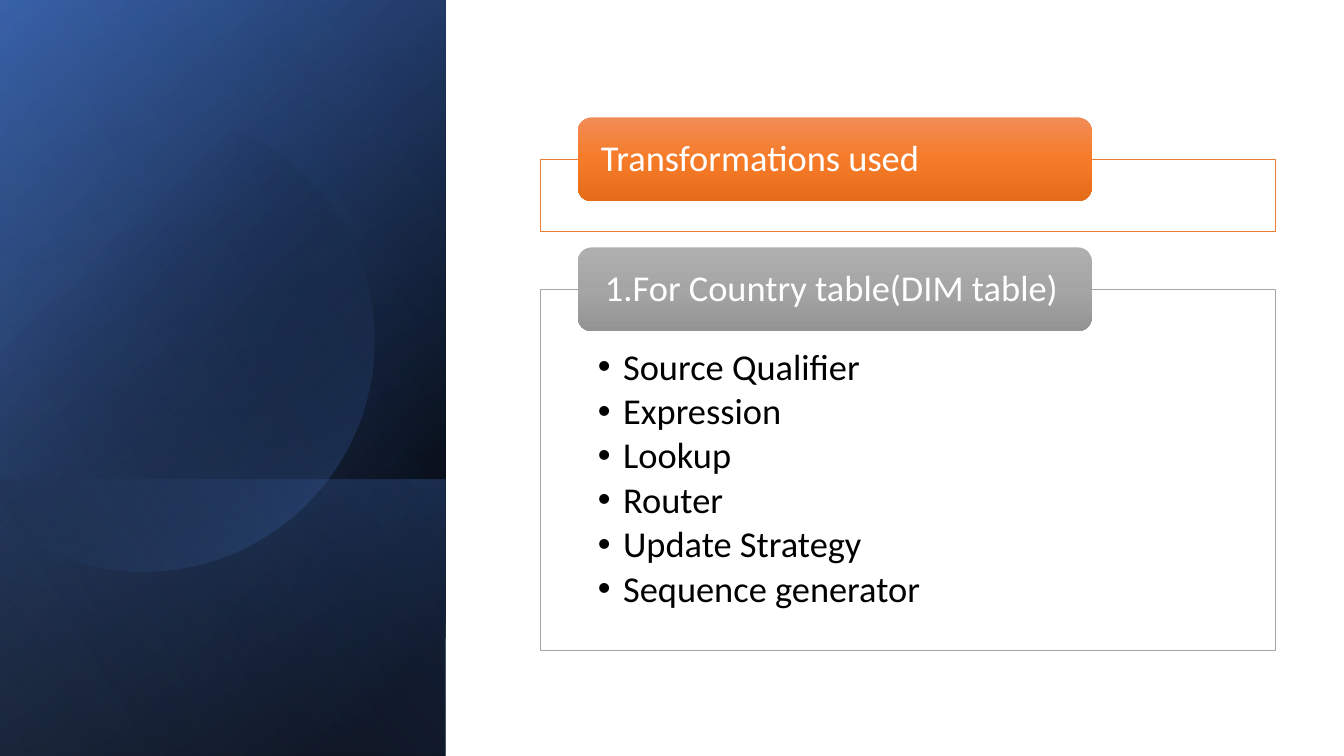
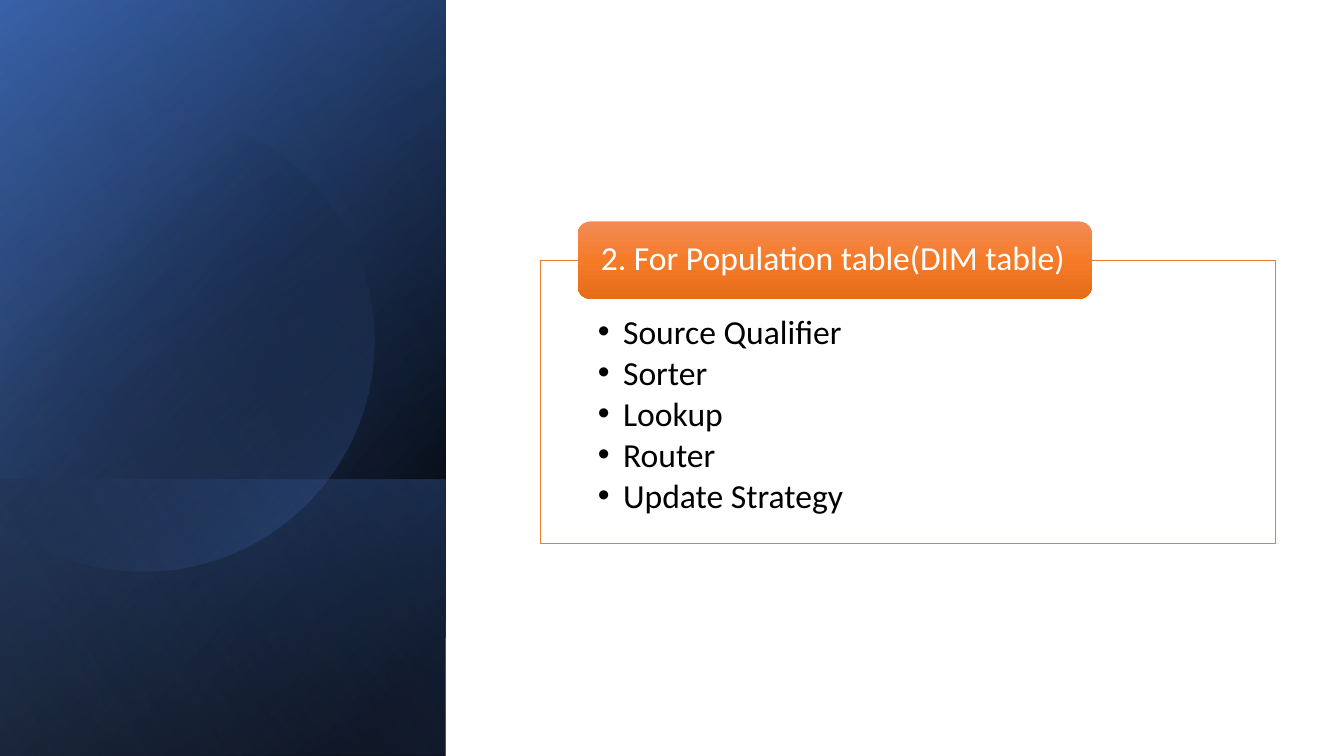
from math import cos, radians, sin

from lxml.etree import SubElement
from pptx import Presentation
from pptx.dml.color import RGBColor
from pptx.enum.shapes import MSO_SHAPE
from pptx.enum.text import MSO_ANCHOR, PP_ALIGN
from pptx.oxml import parse_xml
from pptx.oxml.ns import nsdecls, qn
from pptx.util import Inches, Pt

BLACK = RGBColor(0x00, 0x00, 0x00)
WHITE = RGBColor(0xFF, 0xFF, 0xFF)
NAVY = RGBColor(0x2F, 0x55, 0x97)
BLUE = RGBColor(0x44, 0x72, 0xC4)
PALE_BLUE = RGBColor(0x8F, 0xAA, 0xDC)
ORANGE = RGBColor(0xED, 0x7D, 0x31)
GRAY = RGBColor(0xA5, 0xA5, 0xA5)
FONT = "Calibri"

# Tab gradients by accent: top, middle, bottom
TAB_STOPS = {
    ORANGE: [(0, RGBColor(0xF1, 0x8C, 0x57), 100), (50, RGBColor(0xF6, 0x7B, 0x28), 100),
             (100, RGBColor(0xE5, 0x6C, 0x19), 100)],
    GRAY: [(0, RGBColor(0xAF, 0xAF, 0xAF), 100), (50, GRAY, 100),
           (100, RGBColor(0x93, 0x93, 0x93), 100)],
}

# Side panel layers: left, top, width, height, gradient stops (position, colour, opacity), angle
FULL_LAYER = (-1.54, 1.54, 7.5, 4.42)
LOWER_LAYER = (0.84, 3.92, 2.74, 4.42)
PANEL_BELOW = [
    (FULL_LAYER, [(8, BLACK, 100), (100, NAVY, 100)], 50),
    (FULL_LAYER, [(0, BLACK, 0), (99, BLUE, 46)], 30),
    (LOWER_LAYER, [(2, BLUE, 29), (100, BLACK, 30)], 130),
]
PANEL_ABOVE = (FULL_LAYER, [(0, BLACK, 0), (99, PALE_BLUE, 11)], 120)
CIRCLE_X, CIRCLE_Y, CIRCLE_R = 1.42, 3.38, 2.29
CIRCLE_STOPS = [(29, BLACK, 0), (100, BLUE, 43)]

FRAME_LEFT, FRAME_WIDTH = 5.36, 7.29
TAB_LEFT, TAB_WIDTH = 5.73, 5.1

# Each slide: text size, then groups of frame top, frame height, accent, heading, items
SLIDES = [
    (26, [
        (1.58, 0.72, ORANGE, "Transformations used", []),
        (2.87, 3.58, GRAY, "1.For Country table(DIM table)",
         ["Source Qualifier", "Expression", "Lookup", "Router",
          "Update Strategy", "Sequence generator"]),
    ]),
    (24, [
        (2.58, 2.81, ORANGE, "2. For Population table(DIM table)",
         ["Source Qualifier", "Sorter", "Lookup", "Router", "Update Strategy"]),
    ]),
]


def fill_gradient(shape, stops, angle):
    shape.shadow.inherit = False
    shape.line.fill.background()
    shape.fill.background()
    stop_xml = "".join(
        f'<a:gs pos="{pos * 1000}"><a:srgbClr val="{color}">'
        f'<a:alpha val="{alpha * 1000}"/></a:srgbClr></a:gs>'
        for pos, color, alpha in stops)
    grad = parse_xml(
        f'<a:gradFill {nsdecls("a")} rotWithShape="1"><a:gsLst>{stop_xml}</a:gsLst>'
        f'<a:lin ang="{angle * 60000}" scaled="0"/></a:gradFill>')
    sp_pr = shape.element.spPr
    sp_pr.replace(sp_pr.find(qn("a:noFill")), grad)


def write_text(shape, lines, size, color, margins, anchor=MSO_ANCHOR.MIDDLE, bullet=None):
    tf = shape.text_frame
    tf.word_wrap = True
    tf.vertical_anchor = anchor
    tf.margin_left, tf.margin_top, tf.margin_right, tf.margin_bottom = map(Inches, margins)
    for i, line in enumerate(lines):
        p = tf.paragraphs[0] if i == 0 else tf.add_paragraph()
        p.alignment = PP_ALIGN.LEFT
        p.line_spacing = 0.9
        p.space_before = Pt(0)
        if bullet:
            p.space_after = Pt(0.14 * size)
            p_pr = p._p.get_or_add_pPr()
            p_pr.set("marL", str(Inches(0.25)))
            p_pr.set("indent", str(Inches(-0.25)))
            SubElement(p_pr, qn("a:buFont")).set("typeface", "Arial")
            SubElement(p_pr, qn("a:buChar")).set("char", bullet)
        r = p.add_run()
        r.text = line
        r.font.name, r.font.size, r.font.color.rgb = FONT, Pt(size), color


prs = Presentation()
prs.slide_width, prs.slide_height = Inches(13.33), Inches(7.5)

for size, groups in SLIDES:
    s = prs.slides.add_slide(prs.slide_layouts[5])
    title = s.shapes.title

    # Side panel, with the circle cut off at the slide's left edge
    for box, stops, angle in PANEL_BELOW + [PANEL_ABOVE]:
        if box is PANEL_ABOVE[0] and stops is PANEL_ABOVE[1]:
            arc = [(Inches(CIRCLE_X + CIRCLE_R * cos(radians(a))),
                    Inches(CIRCLE_Y + CIRCLE_R * sin(radians(a)))) for a in range(-128, 129, 2)]
            builder = s.shapes.build_freeform(*arc[0])
            builder.add_line_segments(arc[1:], close=True)
            fill_gradient(builder.convert_to_shape(), CIRCLE_STOPS, 46)
        layer = s.shapes.add_shape(MSO_SHAPE.RECTANGLE, *map(Inches, box))
        layer.rotation = 90
        layer.element.spPr.xfrm.set("flipH", "1")
        fill_gradient(layer, stops, angle)

    # Framed lists, each with a tab centred on the frame's top edge
    tab_height = 0.032 * size
    for i, (top, height, accent, heading, items) in enumerate(groups):
        frame = s.shapes.add_shape(MSO_SHAPE.RECTANGLE, Inches(FRAME_LEFT), Inches(top),
                                   Inches(FRAME_WIDTH), Inches(height))
        frame.shadow.inherit = False
        frame.fill.solid()
        frame.fill.fore_color.rgb = WHITE
        frame.line.color.rgb = accent
        frame.line.width = Pt(0.5)
        write_text(frame, items, size, BLACK, (0.57, 0.71 * tab_height, 0.57, 0.2),
                   anchor=MSO_ANCHOR.TOP, bullet="•")

        tab = s.shapes.add_shape(MSO_SHAPE.ROUNDED_RECTANGLE, Inches(TAB_LEFT),
                                 Inches(top - tab_height / 2), Inches(TAB_WIDTH),
                                 Inches(tab_height))
        fill_gradient(tab, TAB_STOPS[accent], 90)
        label = tab
        if i == 0:
            # The first heading is the slide title, laid over its tab
            label = title
            title.left, title.top, title.width, title.height = (
                tab.left, tab.top, tab.width, tab.height)
            tab.element.addnext(title.element)
        write_text(label, [heading], size, WHITE, (0.23, 0, 0.1, 0))

prs.save("out.pptx")
